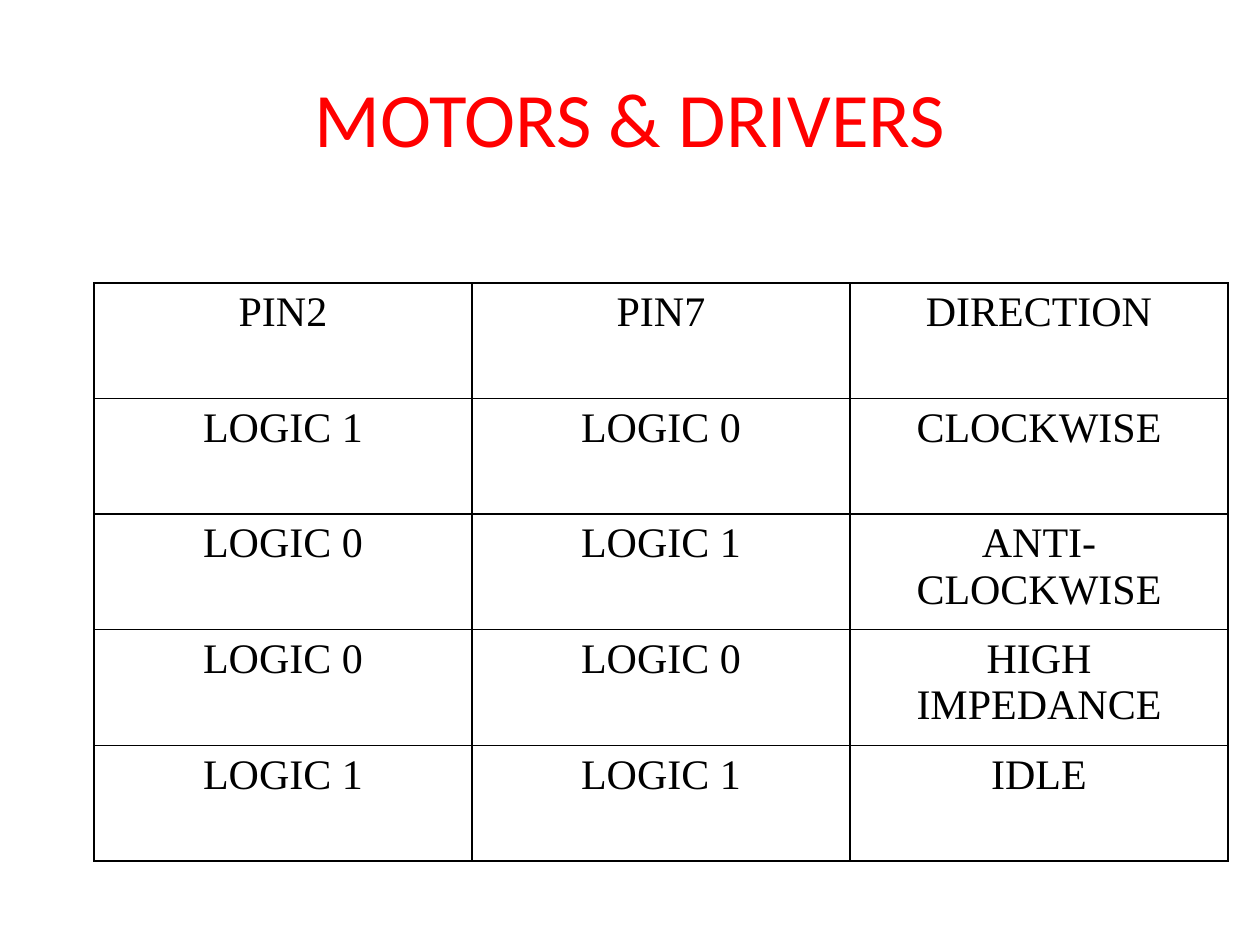
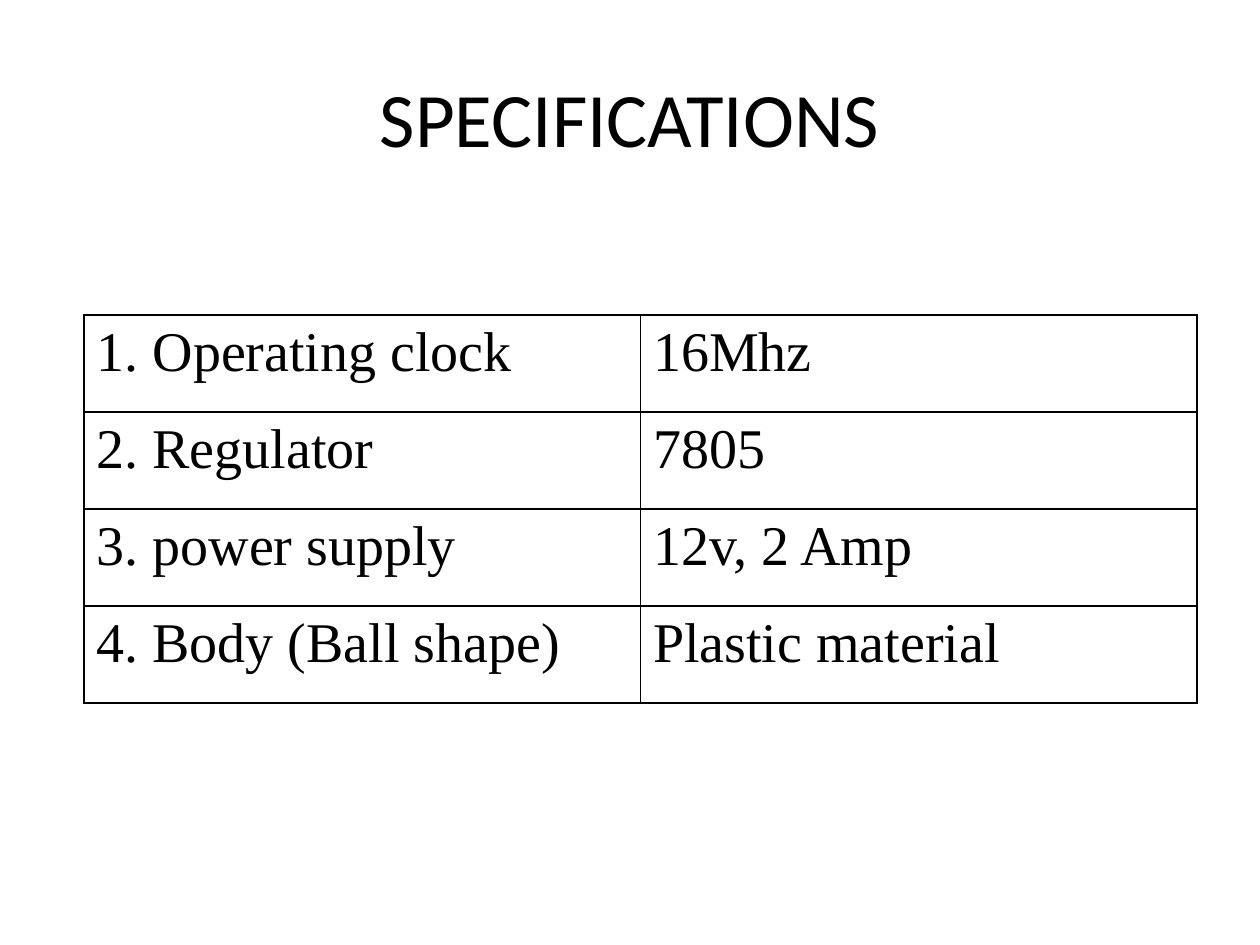
"""Build two slides, each with a centred title and a ruled table."""
from dataclasses import dataclass

import lxml.etree
import pptx
import pptx.dml.color
import pptx.enum.text
import pptx.oxml.ns
import pptx.util

PIXELS_PER_INCH = 126
SLIDE_WIDTH, SLIDE_HEIGHT = 1260, 945
TITLE_BOX = (63, 38, 1134, 157)
BORDER_POINTS = 1

WHITE = pptx.dml.color.RGBColor(0xFF, 0xFF, 0xFF)
BLACK = pptx.dml.color.RGBColor(0x00, 0x00, 0x00)
RED = pptx.dml.color.RGBColor(0xFF, 0x00, 0x00)

TITLE_FONT = "Calibri"
TABLE_FONT = "Times New Roman"
LEFT = pptx.enum.text.PP_ALIGN.LEFT
CENTER = pptx.enum.text.PP_ALIGN.CENTER


@dataclass(frozen=True)
class TableSlide:
    """A title and the table below it; the box is left, top, width, height."""
    title: str
    title_color: pptx.dml.color.RGBColor
    box: tuple[int, int, int, int]
    rows: list[tuple[str, ...]]
    size: int
    align: pptx.enum.text.PP_ALIGN


SLIDES = [
    TableSlide(
        title="MOTORS & DRIVERS",
        title_color=RED,
        box=(94, 283, 1134, 578),
        rows=[
            ("PIN2", "PIN7", "DIRECTION"),
            ("LOGIC 1", "LOGIC 0", "CLOCKWISE"),
            ("LOGIC 0", "LOGIC 1", "ANTI-CLOCKWISE"),
            ("LOGIC 0", "LOGIC 0", "HIGH IMPEDANCE"),
            ("LOGIC 1", "LOGIC 1", "IDLE"),
        ],
        size=24,
        align=CENTER,
    ),
    TableSlide(
        title="SPECIFICATIONS",
        title_color=BLACK,
        box=(84, 315, 1113, 388),
        rows=[
            ("1. Operating clock", "16Mhz"),
            ("2. Regulator", "7805"),
            ("3. power supply", "12v, 2 Amp"),
            ("4. Body (Ball shape)", "Plastic material"),
        ],
        size=32,
        align=LEFT,
    ),
]


def px(length: int) -> pptx.util.Emu:
    """Turn pixels into EMU."""
    return pptx.util.Emu(round(length * pptx.util.Inches(1) / PIXELS_PER_INCH))


def write_text(frame, text: str, *, font: str, size: int,
               color=BLACK, align=LEFT) -> None:
    """Put one formatted paragraph into a text frame."""
    frame.word_wrap = True
    paragraph = frame.paragraphs[0]
    paragraph.alignment = align
    run = paragraph.add_run()
    run.text = text
    run.font.name = font
    run.font.size = pptx.util.Pt(size)
    run.font.bold = False
    run.font.color.rgb = color


def draw_borders(cell) -> None:
    """Rule all four sides of a table cell."""
    properties = cell._tc.get_or_add_tcPr()
    qn = pptx.oxml.ns.qn
    for position, side in enumerate(("lnL", "lnR", "lnT", "lnB")):
        line = lxml.etree.Element(
            qn(f"a:{side}"), w=str(pptx.util.Pt(BORDER_POINTS)))
        fill = lxml.etree.SubElement(line, qn("a:solidFill"))
        lxml.etree.SubElement(fill, qn("a:srgbClr"), val=str(BLACK))
        properties.insert(position, line)


def draw_title(slide, text: str, color: pptx.dml.color.RGBColor) -> None:
    """Add the title in its shared place and style."""
    frame = slide.shapes.add_textbox(*map(px, TITLE_BOX)).text_frame
    frame.vertical_anchor = pptx.enum.text.MSO_ANCHOR.MIDDLE
    write_text(frame, text, font=TITLE_FONT, size=44, color=color, align=CENTER)


def draw_table(slide, content: TableSlide) -> None:
    """Add a plain ruled table with equal rows and equal columns."""
    table = slide.shapes.add_table(
        len(content.rows), len(content.rows[0]), *map(px, content.box)).table
    table.first_row = False
    table.horz_banding = False
    for row, texts in zip(table.rows, content.rows):
        for cell, text in zip(row.cells, texts):
            cell.fill.background()
            draw_borders(cell)
            write_text(cell.text_frame, text, font=TABLE_FONT,
                       size=content.size, align=content.align)


def main() -> None:
    """Build and save the presentation."""
    presentation = pptx.Presentation()
    presentation.slide_width = px(SLIDE_WIDTH)
    presentation.slide_height = px(SLIDE_HEIGHT)
    blank = presentation.slide_layouts[6]
    for content in SLIDES:
        slide = presentation.slides.add_slide(blank)
        slide.background.fill.solid()
        slide.background.fill.fore_color.rgb = WHITE
        draw_title(slide, content.title, content.title_color)
        draw_table(slide, content)
    presentation.save("out.pptx")


main()
